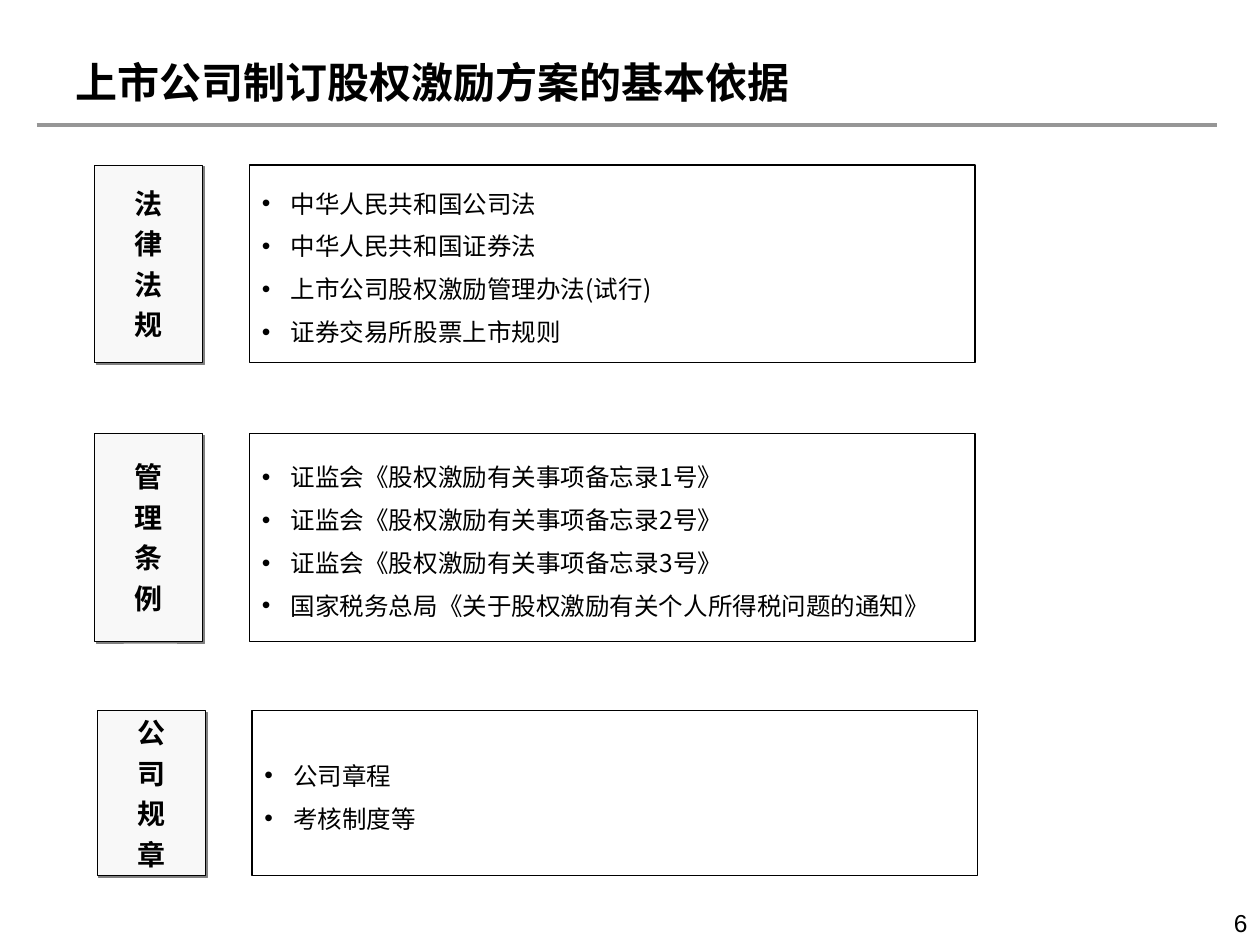
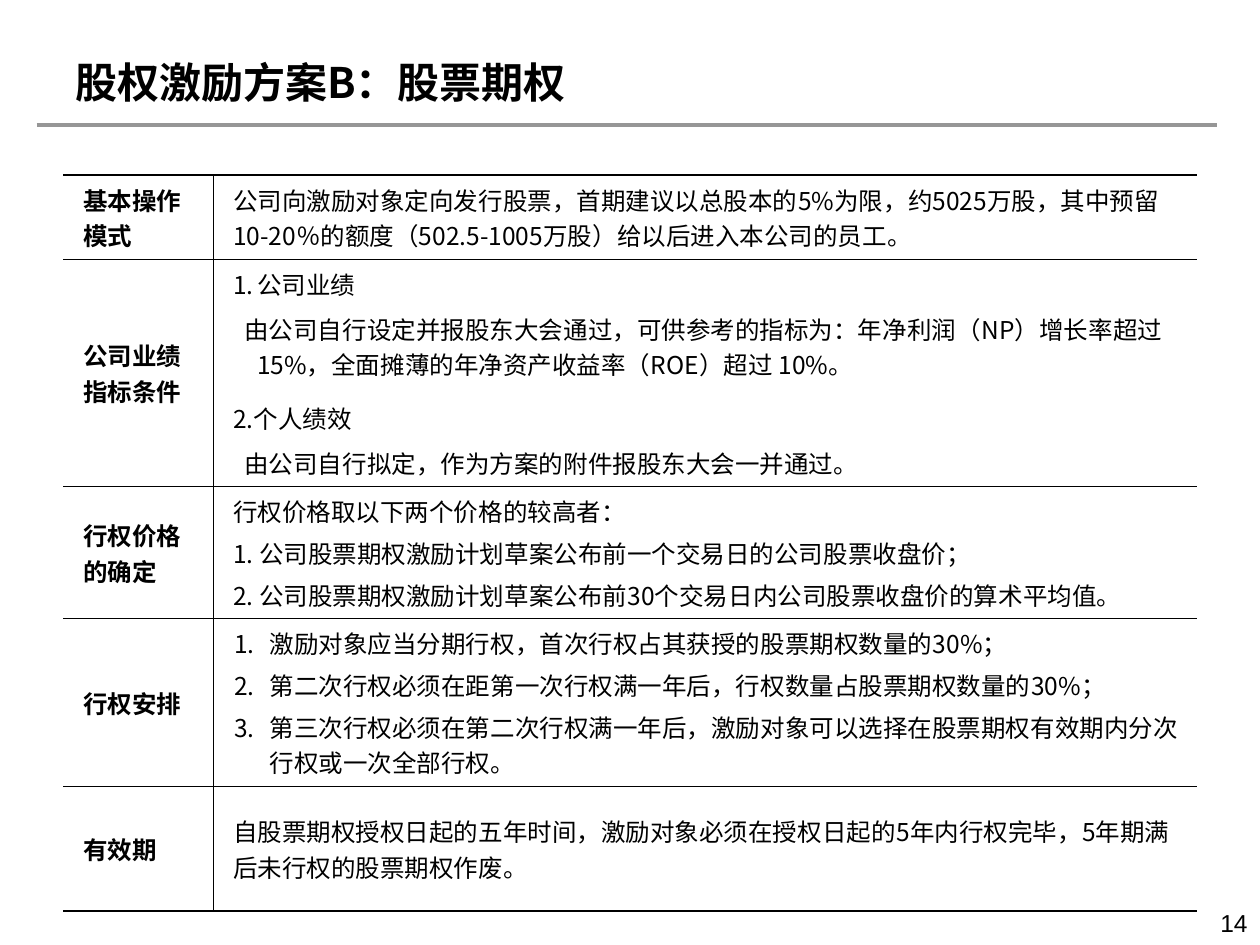
from lxml import etree
from pptx import Presentation
from pptx.dml.color import RGBColor
from pptx.enum.shapes import MSO_CONNECTOR, MSO_SHAPE
from pptx.enum.text import MSO_ANCHOR, PP_ALIGN
from pptx.oxml.ns import qn
from pptx.util import Emu, Inches, Pt

MIDDLE, TOP = MSO_ANCHOR.MIDDLE, MSO_ANCHOR.TOP
LEFT, CENTER, RIGHT = PP_ALIGN.LEFT, PP_ALIGN.CENTER, PP_ALIGN.RIGHT
RECTANGLE, STRAIGHT = MSO_SHAPE.RECTANGLE, MSO_CONNECTOR.STRAIGHT

COLORS = {"text": "000000", "rule": "969696", "label": "F8F8F8", "shadow": "808080"}
CJK, LATIN = "Noto Sans CJK SC", "Arial"

# Content: legal bases as (label, left, top, height, items)
BASES_TITLE = "上市公司制订股权激励方案的基本依据"
BASES = [
    ("法律法规", 0.75, 1.31, 1.57, [
        "中华人民共和国公司法",
        "中华人民共和国证券法",
        "上市公司股权激励管理办法(试行)",
        "证券交易所股票上市规则"]),
    ("管理条例", 0.75, 3.44, 1.65, [
        "证监会《股权激励有关事项备忘录1号》",
        "证监会《股权激励有关事项备忘录2号》",
        "证监会《股权激励有关事项备忘录3号》",
        "国家税务总局《关于股权激励有关个人所得税问题的通知》"]),
    ("公司规章", 0.77, 5.64, 1.31, ["公司章程", "考核制度等"]),
]
LABEL_WIDTH, ITEMS_OFFSET, ITEMS_WIDTH = 0.86, 1.23, 5.76

# Content: option plan as (term, row height, [(paragraph style, text)])
PLAN_TITLE = "股权激励方案B：股票期权"
PLAN = [
    ("基本操作模式", 0.67, [
        ("plain", "公司向激励对象定向发行股票，首期建议以总股本的5%为限，约5025万股，"
                  "其中预留10-20％的额度（502.5-1005万股）给以后进入本公司的员工。")]),
    ("公司业绩指标条件", 1.8, [
        ("numbered heading", "公司业绩"),
        ("detail", "由公司自行设定并报股东大会通过，可供参考的指标为：年净利润（NP）增长率超过 15%，"
                   "全面摊薄的年净资产收益率（ROE）超过 10%。"),
        ("heading", "2.个人绩效"),
        ("detail", "由公司自行拟定，作为方案的附件报股东大会一并通过。")]),
    ("行权价格的确定", 1.05, [
        ("plain", "行权价格取以下两个价格的较高者："),
        ("plain", "1. 公司股票期权激励计划草案公布前一个交易日的公司股票收盘价；"),
        ("plain", "2. 公司股票期权激励计划草案公布前30个交易日内公司股票收盘价的算术平均值。")]),
    ("行权安排", 1.33, [
        ("numbered", "激励对象应当分期行权，首次行权占其获授的股票期权数量的30%；"),
        ("numbered", "第二次行权必须在距第一次行权满一年后，行权数量占股票期权数量的30%；"),
        ("numbered", "第三次行权必须在第二次行权满一年后，激励对象可以选择在股票期权有效期内"
                     "分次行权或一次全部行权。")]),
    ("有效期", 0.99, [
        ("plain", "自股票期权授权日起的五年时间，激励对象必须在授权日起的5年内行权完毕，"
                  "5年期满后未行权的股票期权作废。")]),
]
PLAN_LEFT, PLAN_TOP, PLAN_COLUMNS = 0.5, 1.39, (1.19, 7.81)
THIN, THICK = 0.45, 1.08

STYLES = {
    "plain": dict(margin=0.1, before=3.5),
    "numbered": dict(margin=0.39, indent=-0.28, before=3.5, bullet="number"),
    "heading": dict(margin=0.29, indent=-0.19, before=5.2),
    "numbered heading": dict(margin=0.29, indent=-0.19, before=5.2, bullet="number"),
    "detail": dict(margin=0.29, indent=-0.1, before=5.2, after=5.2),
    "term": dict(margin=0.1, bold=True),
    "item": dict(margin=0.23, indent=-0.23, before=3.5, bullet="•", spacing=1.25),
    "label": dict(size=16, bold=True, before=4, align=CENTER),
    "title": dict(size=24, bold=True),
    "page": dict(font=LATIN, align=RIGHT),
}


def rgb(name):
    return RGBColor.from_string(COLORS[name])


def child(parent, tag, **attributes):
    return etree.SubElement(parent, qn(tag), {k: str(v) for k, v in attributes.items()})


def add_color(parent, name):
    child(child(parent, "a:solidFill"), "a:srgbClr", val=COLORS[name])


def style_paragraph(paragraph, first, size=14, bold=False, font=CJK, align=LEFT, margin=0,
                    indent=0, before=0, after=0, spacing=None, bullet=None):
    paragraph.alignment = align
    paragraph.space_before = Pt(0 if first else before)
    paragraph.space_after = Pt(after)
    if spacing:
        paragraph.line_spacing = spacing
    properties = paragraph._p.get_or_add_pPr()
    properties.set("marL", str(Inches(margin)))
    properties.set("indent", str(Inches(indent)))
    if bullet:
        child(child(properties, "a:buClr"), "a:srgbClr", val=COLORS["text"])
        child(properties, "a:buFont", typeface=LATIN if bullet == "•" else CJK)
        if bullet == "number":
            child(properties, "a:buAutoNum", type="arabicPeriod")
        else:
            child(properties, "a:buChar", char=bullet)
    paragraph.font.size, paragraph.font.bold, paragraph.font.name = Pt(size), bold, font
    paragraph.font.color.rgb = rgb("text")
    child(properties.find(qn("a:defRPr")), "a:ea", typeface=CJK)


def write(frame, lines):
    """Fill a text frame with (style, text) lines."""
    frame.word_wrap = True
    for i, (style, text) in enumerate(lines):
        paragraph = frame.add_paragraph() if i else frame.paragraphs[0]
        paragraph.text = text
        style_paragraph(paragraph, i == 0, **STYLES[style])


def add_text(slide, box, style, text, anchor):
    frame = slide.shapes.add_textbox(*map(Inches, box)).text_frame
    frame.vertical_anchor = anchor
    write(frame, [(style, text)])


def add_box(slide, box, lines, line_width):
    shape = slide.shapes.add_shape(RECTANGLE, *map(Inches, box))
    shape.shadow.inherit = False
    shape.fill.background()
    shape.line.color.rgb = rgb("text")
    shape.line.width = Pt(line_width)
    shape.text_frame.vertical_anchor = MIDDLE
    write(shape.text_frame, lines)
    return shape


def start_slide(deck, title, page):
    """Blank slide with the shared title, rule and page number."""
    slide = deck.slides.add_slide(deck.slide_layouts[6])
    add_text(slide, (7.67, 7.16, 2.33, 0.34), "page", str(page), TOP)
    rule = slide.shapes.add_connector(STRAIGHT, *map(Inches, (0.29, 0.99, 9.66, 0.99)))
    rule.line.color.rgb = rgb("rule")
    rule.line.width = Pt(2.25)
    child(rule._element.spPr, "a:effectLst")
    add_text(slide, (0.5, 0.3, 8, 0.69), "title", title, MIDDLE)
    return slide


def add_basis(slide, label, left, top, height, items):
    tag = add_box(slide, (left, top, LABEL_WIDTH, height), [("label", c) for c in label], 0.5)
    tag.fill.solid()
    tag.fill.fore_color.rgb = rgb("label")
    frame = tag.text_frame
    frame.margin_left = frame.margin_right = frame.margin_top = frame.margin_bottom = 0
    shadow = child(tag._element.spPr.find(qn("a:effectLst")), "a:outerShdw",
                   blurRad=0, dist=Pt(1.4), dir=45 * 60000, algn="ctr", rotWithShape=0)
    child(shadow, "a:srgbClr", val=COLORS["shadow"])
    add_box(slide, (left + ITEMS_OFFSET, top, ITEMS_WIDTH, height),
            [("item", item) for item in items], 0.75)


def set_borders(cell, **widths):
    """Draw the given sides (L, R, T, B) and clear the others."""
    properties = cell._tc.get_or_add_tcPr()
    for position, side in enumerate("LRTB"):
        width = widths.get(side, 0)
        line = etree.Element(qn(f"a:ln{side}"), w=str(Pt(width)))
        if width:
            add_color(line, "text")
        else:
            child(line, "a:noFill")
        properties.insert(position, line)


def add_plan(slide):
    heights = [height for _, height, _ in PLAN]
    box = (PLAN_LEFT, PLAN_TOP, sum(PLAN_COLUMNS), sum(heights))
    table = slide.shapes.add_table(len(PLAN), 2, *map(Inches, box)).table
    table.first_row = table.horz_banding = False
    for column, width in zip(table.columns, PLAN_COLUMNS):
        column.width = Inches(width)
    for r, (term, height, details) in enumerate(PLAN):
        table.rows[r].height = Inches(height)
        top = THIN if r else THICK
        bottom = THIN if r < len(PLAN) - 1 else THICK
        for c, lines in enumerate(([("term", term)], details)):
            cell = table.cell(r, c)
            cell.vertical_anchor = MIDDLE
            cell.margin_left = cell.margin_right = Inches(0.06)
            cell.margin_top = cell.margin_bottom = Inches(0.05)
            cell.fill.background()
            set_borders(cell, T=top, B=bottom, **{"L" if c else "R": THIN})
            write(cell.text_frame, lines)


def main():
    deck = Presentation()
    deck.slide_width, deck.slide_height = Emu(Inches(10)), Emu(Inches(7.5))

    # Legal bases
    bases = start_slide(deck, BASES_TITLE, 6)
    for basis in BASES:
        add_basis(bases, *basis)

    # Stock option plan
    add_plan(start_slide(deck, PLAN_TITLE, 14))
    deck.save("out.pptx")


if __name__ == "__main__":
    main()
